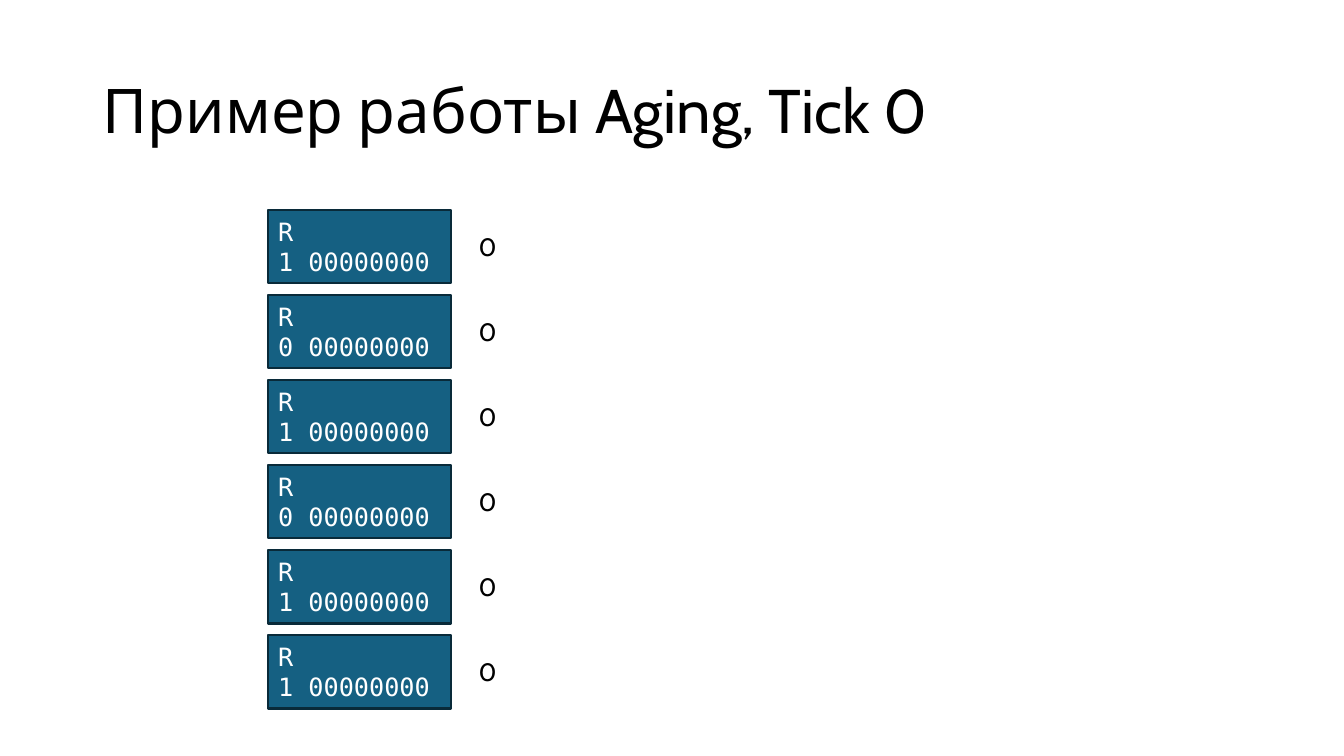
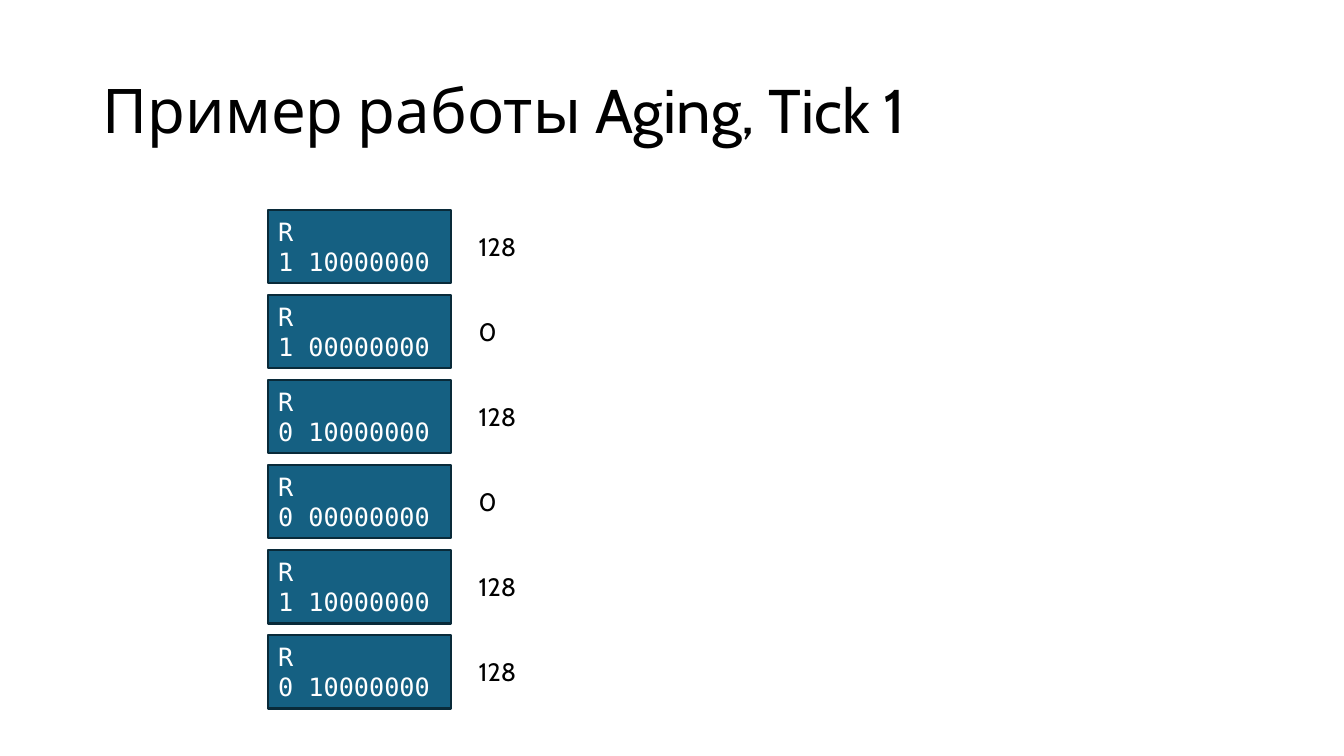
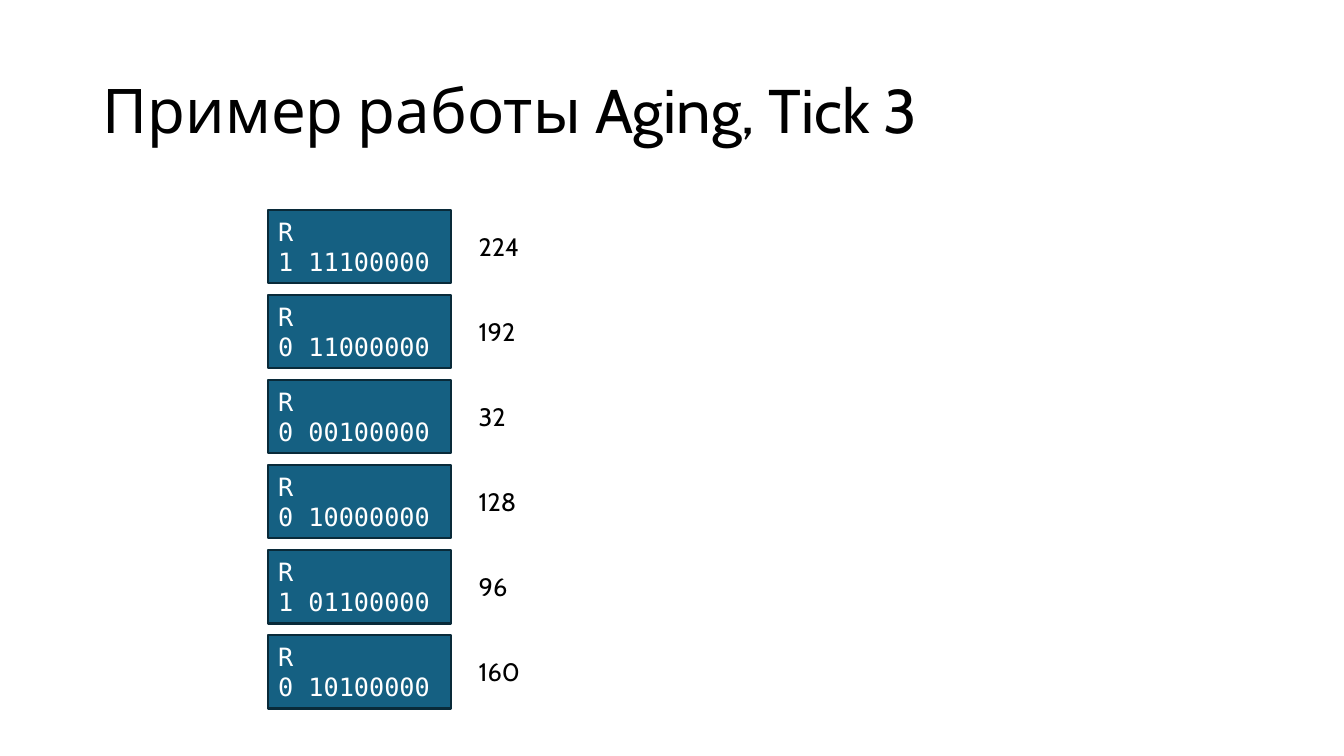
from pptx import Presentation
from pptx.dml.color import RGBColor
from pptx.enum.shapes import MSO_SHAPE as Shape
from pptx.enum.text import MSO_ANCHOR as Anchor, MSO_AUTO_SIZE as AutoSize, PP_ALIGN as Align
from pptx.util import Inches, Pt

# Shared style
BLACK = RGBColor(0x00, 0x00, 0x00)
WHITE = RGBColor(0xFF, 0xFF, 0xFF)
TEAL = RGBColor(0x15, 0x60, 0x82)
DARK_TEAL = RGBColor(0x09, 0x2A, 0x39)
TEXT_FONT = "Cabin"
CODE_FONT = "DejaVu Sans Mono"

# Regions: left, top, width, height in inches
TITLE_BOX = (0.92, 0.4, 11.5, 1.45)
PAGES_BOX = (2.66, 2.08, 3.25, 4.95)
ENTRY_WIDTH, ENTRY_HEIGHT = 1.81, 0.73
VALUE_WIDTH, VALUE_HEIGHT = 1.26, 0.4

# Tick number, then the R bit and the aging counter of each memory page
TICKS = [
    (0, ["1 00000000", "0 00000000", "1 00000000",
         "0 00000000", "1 00000000", "1 00000000"]),
    (1, ["1 10000000", "1 00000000", "0 10000000",
         "0 00000000", "1 10000000", "0 10000000"]),
    (3, ["1 11100000", "0 11000000", "0 00100000",
         "0 10000000", "1 01100000", "0 10100000"]),
]


def write_lines(shape, lines, font, size, color):
    """Fill a shape with left-aligned, vertically centred lines."""
    frame = shape.text_frame
    frame.word_wrap = True
    frame.vertical_anchor = Anchor.MIDDLE
    for index, line in enumerate(lines):
        para = frame.add_paragraph() if index else frame.paragraphs[0]
        para.alignment = Align.LEFT
        span = para.add_run()
        span.text = line
        span.font.name = font
        span.font.size = Pt(size)
        span.font.color.rgb = color


def add_title(page, box, text):
    title = page.shapes.add_textbox(*map(Inches, box))
    write_lines(title, [text], TEXT_FONT, 44, BLACK)
    title.text_frame.paragraphs[0].line_spacing = 0.9


def add_entry(page, left, top, bits):
    """Draw the rectangle with the R bit and the counter."""
    entry = page.shapes.add_shape(Shape.RECTANGLE, Inches(left), Inches(top),
                                  Inches(ENTRY_WIDTH), Inches(ENTRY_HEIGHT))
    entry.shadow.inherit = False
    entry.fill.solid()
    entry.fill.fore_color.rgb = TEAL
    entry.line.color.rgb = DARK_TEAL
    entry.line.width = Pt(1.5)
    write_lines(entry, ["R", bits], CODE_FONT, 18, WHITE)


def add_value(page, left, top, number):
    """Write the decimal value of a counter."""
    value = page.shapes.add_textbox(Inches(left), Inches(top),
                                    Inches(VALUE_WIDTH), Inches(VALUE_HEIGHT))
    write_lines(value, [str(number)], TEXT_FONT, 18, BLACK)
    value.text_frame.auto_size = AutoSize.SHAPE_TO_FIT_TEXT


def add_pages(page, box, entries):
    """Spread the entries evenly over the box, with values at its right edge."""
    left, top, width, height = box
    pitch = (height - ENTRY_HEIGHT) / (len(entries) - 1)
    for row, bits in enumerate(entries):
        row_top = top + row * pitch
        add_entry(page, left, row_top, bits)
        counter = bits.split()[1]
        add_value(page, left + width - VALUE_WIDTH,
                  row_top + (ENTRY_HEIGHT - VALUE_HEIGHT) / 2, int(counter, 2))


def add_tick_slide(deck, tick, entries):
    page = deck.slides.add_slide(deck.slide_layouts[6])
    add_title(page, TITLE_BOX, f"Пример работы Aging, Tick {tick}")
    add_pages(page, PAGES_BOX, entries)


def main():
    deck = Presentation()
    deck.slide_width = Inches(13.33)
    deck.slide_height = Inches(7.5)
    for tick, entries in TICKS:
        add_tick_slide(deck, tick, entries)
    deck.save("out.pptx")


if __name__ == "__main__":
    main()
